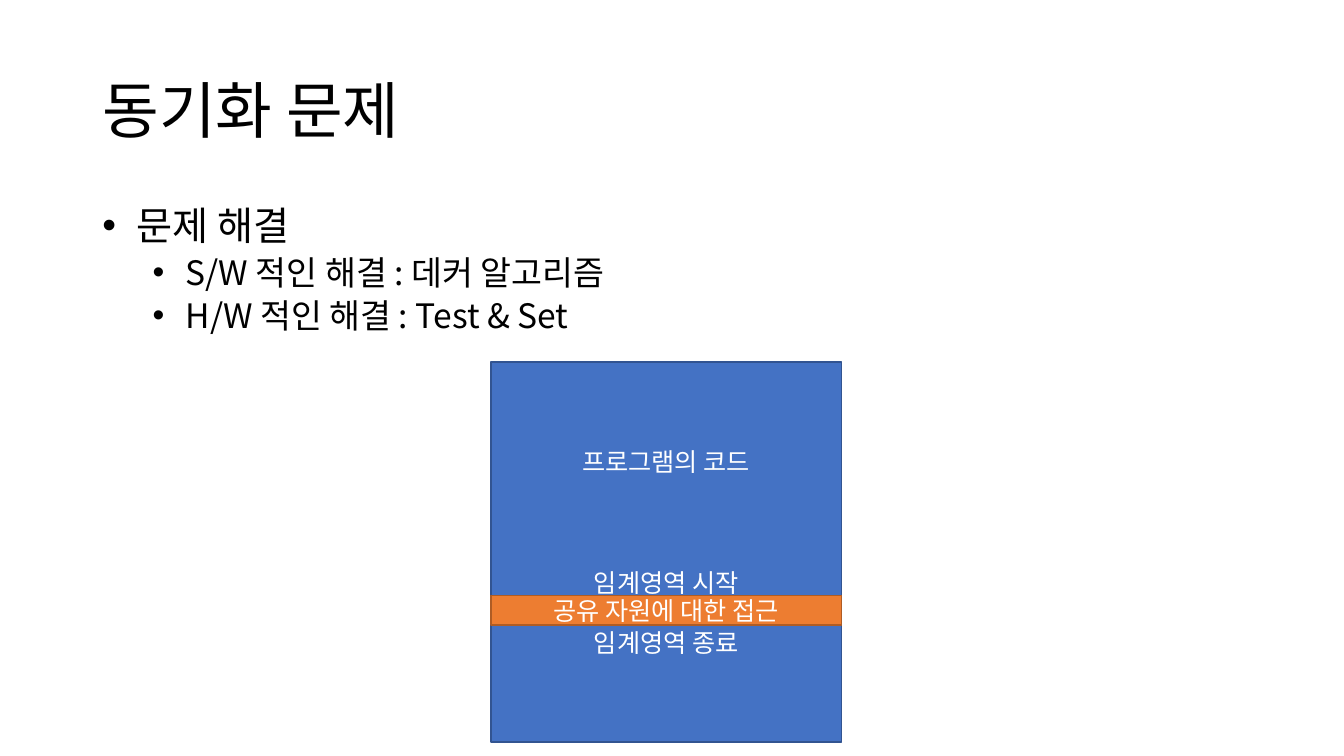
from dataclasses import dataclass

from lxml import etree
from pptx import Presentation
from pptx import util as u
from pptx.dml.color import RGBColor
from pptx.enum import shapes, text
from pptx.oxml import ns


@dataclass(frozen=True)
class Theme:
    font: str = "Noto Sans CJK KR"
    ink: str = "000000"
    light: str = "FFFFFF"
    code_fill: str = "4472C4"
    code_line: str = "325491"
    shared_fill: str = "ED7D31"
    shared_line: str = "AF5C24"
    title_size: int = 44
    bullet_sizes: tuple = (28, 24)
    label_size: int = 18
    line_pitch: float = 1.2


THEME = Theme()

SOLUTIONS = [
    (0, " 문제 해결"),
    (1, " S/W 적인 해결 : 데커 알고리즘"),
    (1, " H/W 적인 해결 : Test & Set"),
]
# Label and the number of empty line heights above it
CODE_STEPS = [("프로그램의 코드", 0), ("임계영역 시작", 3), ("임계영역 종료", 1)]


def add_run(paragraph, words, size, color):
    run = paragraph.add_run()
    run.text = words
    run.font.size = u.Pt(size)
    run.font.name = THEME.font
    run.font.color.rgb = RGBColor.from_string(color)
    east_asian = etree.SubElement(run.font._element, ns.qn("a:ea"))
    east_asian.set("typeface", THEME.font)


def paragraphs(frame, count):
    """Return the frame's first paragraph followed by new ones."""
    return [frame.paragraphs[0]] + [frame.add_paragraph() for _ in range(count - 1)]


def set_bullet(paragraph, level):
    properties = paragraph._p.get_or_add_pPr()
    properties.set("marL", str(u.Cm(0.64 + 1.27 * level)))
    properties.set("indent", str(u.Cm(-0.64)))
    font = etree.SubElement(properties, ns.qn("a:buFont"))
    font.set("typeface", "Arial")
    etree.SubElement(properties, ns.qn("a:buChar")).set("char", "•")


def place_title(slide, left, top, width, height):
    title = slide.shapes.title
    title.left, title.top, title.width, title.height = left, top, width, height
    frame = title.text_frame
    frame.vertical_anchor = text.MSO_ANCHOR.MIDDLE
    heading = frame.paragraphs[0]
    heading.alignment = text.PP_ALIGN.LEFT
    heading.line_spacing = 0.9
    add_run(heading, "동기화 문제", THEME.title_size, THEME.ink)


def add_solutions(slide, left, top, width, height):
    frame = slide.shapes.add_textbox(left, top, width, height).text_frame
    frame.word_wrap = True
    for paragraph, (level, words) in zip(paragraphs(frame, len(SOLUTIONS)), SOLUTIONS):
        size = THEME.bullet_sizes[level]
        paragraph.level = level
        paragraph.line_spacing = u.Pt(size * THEME.line_pitch * 0.9)
        paragraph.space_before = u.Pt(5 if level else 10)
        set_bullet(paragraph, level)
        add_run(paragraph, words, size, THEME.ink)


def add_block(group, box, fill, line, steps):
    """Add a filled rectangle with centred labels, spaced in whole lines."""
    block = group.shapes.add_shape(shapes.MSO_SHAPE.RECTANGLE, *box)
    block.shadow.inherit = False
    block.fill.solid()
    block.fill.fore_color.rgb = RGBColor.from_string(fill)
    block.line.color.rgb = RGBColor.from_string(line)
    block.line.width = u.Pt(1)
    frame = block.text_frame
    frame.word_wrap = True
    frame.vertical_anchor = text.MSO_ANCHOR.MIDDLE
    pitch = THEME.label_size * THEME.line_pitch
    for paragraph, (words, gap) in zip(paragraphs(frame, len(steps)), steps):
        paragraph.alignment = text.PP_ALIGN.CENTER
        paragraph.line_spacing = u.Pt(pitch)
        paragraph.space_before = u.Pt(pitch * gap)
        add_run(paragraph, words, THEME.label_size, THEME.light)


def add_program(slide, left, top, width, height):
    """Draw the program code with its critical section across it."""
    program = slide.shapes.add_group_shape()
    add_block(program, (left, top, width, height),
              THEME.code_fill, THEME.code_line, CODE_STEPS)
    add_block(program, (left, top + u.Cm(5.89), width, u.Cm(0.74)),
              THEME.shared_fill, THEME.shared_line, [("공유 자원에 대한 접근", 0)])


def main():
    deck = Presentation()
    deck.slide_width, deck.slide_height = u.Cm(33.87), u.Cm(19.05)
    slide = deck.slides.add_slide(deck.slide_layouts[5])
    margin, content_width = u.Cm(2.33), u.Cm(29.21)
    place_title(slide, margin, u.Cm(1.01), content_width, u.Cm(3.68))
    add_solutions(slide, margin, u.Cm(5.07), content_width, u.Cm(3.68))
    add_program(slide, u.Cm(12.37), u.Cm(9.12), u.Cm(8.84), u.Cm(9.58))
    deck.save("out.pptx")


if __name__ == "__main__":
    main()
